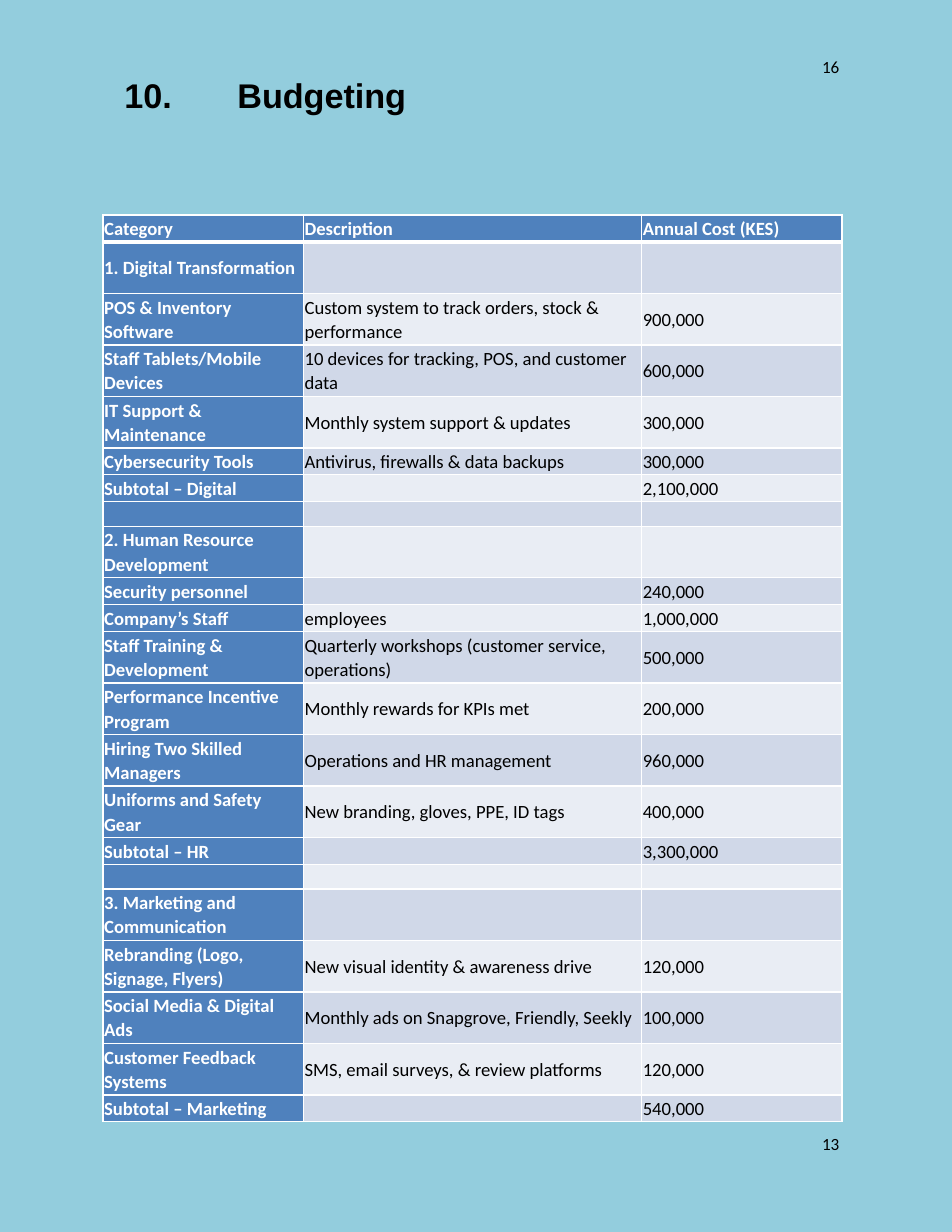
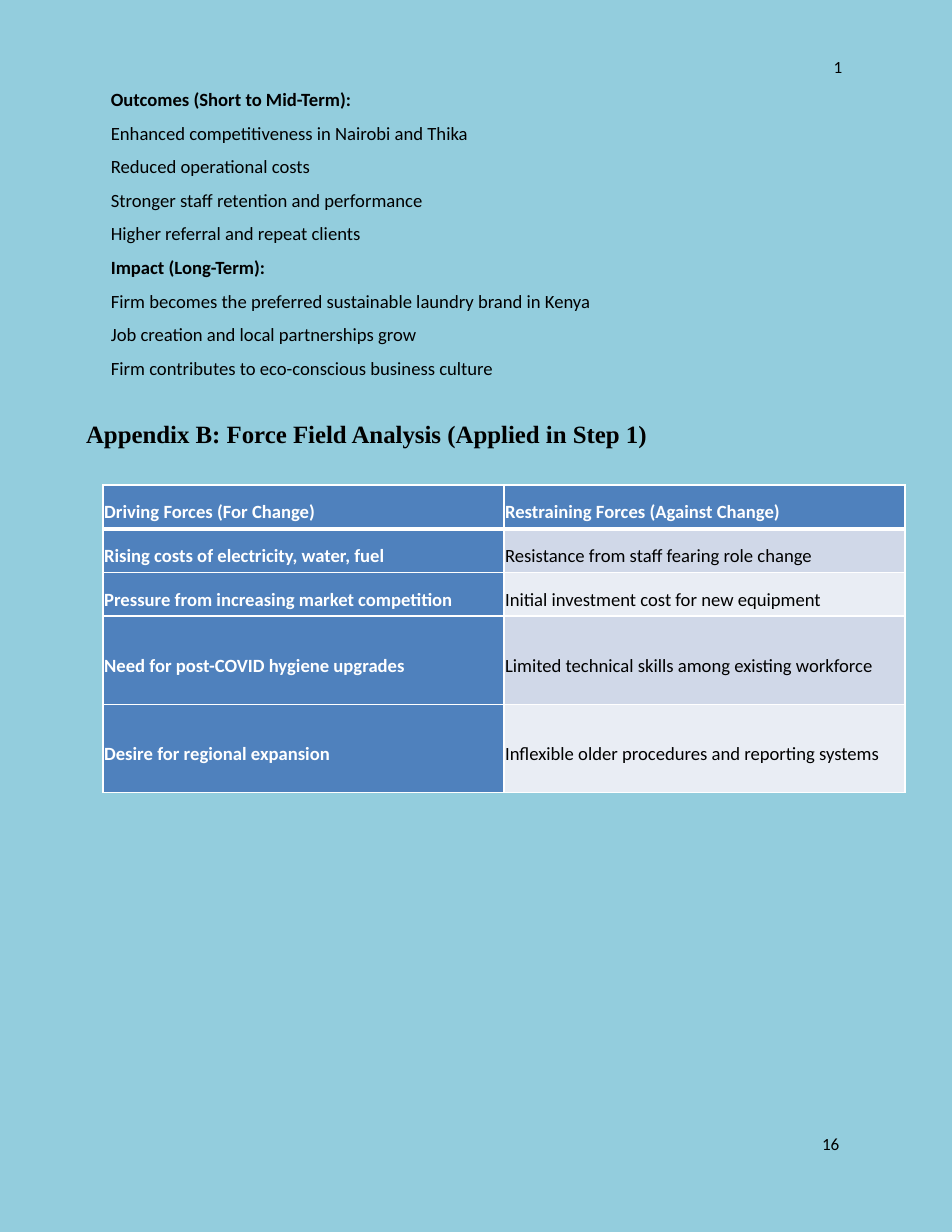
from lxml.etree import SubElement
from pptx import Presentation
from pptx.dml.color import RGBColor
from pptx.enum.text import MSO_ANCHOR, PP_ALIGN
from pptx.oxml.ns import qn
from pptx.util import Pt

SCALE = 9144
PAGE = (850, 1100)
HUES = {
    "page": "93CDDD",
    "head": "4F81BD",
    "dark": "D0D8E8",
    "light": "E9EDF4",
    "white": "FFFFFF",
    "ink": "000000",
}
BODY = {"name": "Calibri", "size": Pt(12), "bold": False}
STRONG = BODY | {"bold": True}
FOLIO = BODY | {"size": Pt(11)}
TITLE = {"name": "Arial", "size": Pt(22), "bold": True}
HEAD = {"name": "Times New Roman", "size": Pt(16), "bold": True}

BUDGET = [
    ("Category", "Description", "Annual Cost (KES)"),
    ("1. Digital Transformation", "", ""),
    ("POS & Inventory Software", "Custom system to track orders, stock & performance", "900,000"),
    ("Staff Tablets/Mobile Devices", "10 devices for tracking, POS, and customer data", "600,000"),
    ("IT Support & Maintenance", "Monthly system support & updates", "300,000"),
    ("Cybersecurity Tools", "Antivirus, firewalls & data backups", "300,000"),
    ("Subtotal – Digital", "", "2,100,000"),
    ("", "", ""),
    ("2. Human Resource Development", "", ""),
    ("Security personnel", "", "240,000"),
    ("Company’s Staff", "employees", "1,000,000"),
    ("Staff Training & Development", "Quarterly workshops (customer service, operations)", "500,000"),
    ("Performance Incentive Program", "Monthly rewards for KPIs met", "200,000"),
    ("Hiring Two Skilled Managers", "Operations and HR management", "960,000"),
    ("Uniforms and Safety Gear", "New branding, gloves, PPE, ID tags", "400,000"),
    ("Subtotal – HR", "", "3,300,000"),
    ("", "", ""),
    ("3. Marketing and Communication", "", ""),
    ("Rebranding (Logo, Signage, Flyers)", "New visual identity & awareness drive", "120,000"),
    ("Social Media & Digital Ads", "Monthly ads on Snapgrove, Friendly, Seekly", "100,000"),
    ("Customer Feedback Systems", "SMS, email surveys, & review platforms", "120,000"),
    ("Subtotal – Marketing", "", "540,000"),
]
FORCES = [
    ("Driving Forces (For Change)", "Restraining Forces (Against Change)"),
    ("Rising costs of electricity, water, fuel", "Resistance from staff fearing role change"),
    ("Pressure from increasing market competition", "Initial investment cost for new equipment"),
    ("Need for post-COVID hygiene upgrades", "Limited technical skills among existing workforce"),
    ("Desire for regional expansion", "Inflexible older procedures and reporting systems"),
]
GOALS = {
    "Outcomes (Short to Mid-Term):": [
        "Enhanced competitiveness in Nairobi and Thika",
        "Reduced operational costs",
        "Stronger staff retention and performance",
        "Higher referral and repeat clients",
    ],
    "Impact (Long-Term):": [
        "Firm becomes the preferred sustainable laundry brand in Kenya",
        "Job creation and local partnerships grow",
        "Firm contributes to eco-conscious business culture",
    ],
}


def px(num):
    return int(num * SCALE)


def tint(hue):
    return RGBColor.from_string(HUES[hue])


def apply(item, style):
    for key, value in style.items():
        setattr(item, key, value)


def inset(left, top, right, bottom):
    sides = ("left", "top", "right", "bottom")
    return {f"margin_{side}": px(size) for side, size in zip(sides, (left, top, right, bottom))}


def write(para, text, font, hue="ink", **form):
    apply(para, form)
    run = para.add_run()
    run.text = text
    apply(run.font, font)
    run.font.color.rgb = tint(hue)


def add_box(slide, box, pad=(0, 1, 0, 0), wrap=True):
    frame = slide.shapes.add_textbox(*map(px, box)).text_frame
    apply(frame, inset(*pad) | {"word_wrap": wrap})
    return frame


def add_page(deck, foot):
    slide = deck.slides.add_slide(deck.slide_layouts[6])
    fill = slide.background.fill
    fill.solid()
    fill.fore_color.rgb = tint("page")
    frame = add_box(slide, (733, 1014, 23, 18), (1, 0, 0, 0))
    write(frame.paragraphs[0], foot, FOLIO, line_spacing=Pt(11.5))
    return slide


def add_rules(cell, row):
    props = cell._tc.get_or_add_tcPr()
    wide = {0: "B", 1: "T"}.get(row)
    for side in "LRTB":
        line = SubElement(props, qn(f"a:ln{side}"), w=str(Pt(3 if side == wide else 1)))
        SubElement(SubElement(line, qn("a:solidFill")), qn("a:srgbClr"), val=HUES["white"])


def fill_cell(cell, text, row, col, space):
    strong = row == 0 or col == 0
    add_rules(cell, row)
    cell.fill.solid()
    cell.fill.fore_color.rgb = tint("head" if strong else ("light", "dark")[row % 2])
    apply(cell, inset(1, 1, 1, 1) | {"vertical_anchor": MSO_ANCHOR.MIDDLE})
    para = cell.text_frame.paragraphs[0]
    if text:
        write(para, text, STRONG if strong else BODY, "white" if strong else "ink",
              line_spacing=space, space_after=Pt(8))
    else:
        SubElement(para._p, qn("a:endParaRPr"), sz="1000")


def add_grid(slide, left, top, rows, wides, highs, space):
    shape = slide.shapes.add_table(len(rows), len(wides), px(left), px(top),
                                   px(sum(wides)), px(sum(highs)))
    table = shape.table
    for col, wide in zip(table.columns, wides):
        col.width = px(wide)
    for row, high in zip(table.rows, highs):
        row.height = px(high)
    for row, texts in enumerate(rows):
        for col, text in enumerate(texts):
            fill_cell(table.cell(row, col), text, row, col, space)


def add_title(slide, box, mark, text):
    para = add_box(slide, box, (0, 22, 0, 0)).paragraphs[0]
    props = para._p.get_or_add_pPr()
    props.set("marL", str(px(26)))
    SubElement(SubElement(props, qn("a:tabLst")), qn("a:tab"), pos=str(px(101)), algn="l")
    write(para, f"{mark}\t{text}", TITLE)


def add_goals(slide, box, folio):
    frame = add_box(slide, box, (0, 2, 0, 0))
    write(frame.paragraphs[0], folio, FOLIO, alignment=PP_ALIGN.RIGHT)
    for head, items in GOALS.items():
        write(frame.add_paragraph(), head, STRONG, line_spacing=1.5)
        for item in items:
            write(frame.add_paragraph(), item, BODY, line_spacing=1.5)


def add_head(slide, box, text):
    frame = add_box(slide, box, (10, 5, 10, 23), False)
    frame.vertical_anchor = MSO_ANCHOR.MIDDLE
    write(frame.paragraphs[0], text, HEAD)


def row_high(label):
    if not label:
        return 22
    return 46 if len(label) > 20 else 24


def add_budget(deck):
    slide = add_page(deck, "13")
    write(add_box(slide, (733, 48, 18, 21), (1, 2, 0, 0)).paragraphs[0], "16", FOLIO)
    add_title(slide, (85, 44, 652, 94), "10.", "Budgeting")
    highs = [row_high(row[0]) for row in BUDGET]
    add_grid(slide, 92, 192, BUDGET, (179, 302, 179), highs, 1.07)


def add_forces(deck):
    slide = add_page(deck, "16")
    add_goals(slide, (99, 48, 653, 349), "1")
    add_grid(slide, 92, 433, FORCES, (358, 358), (39, 39, 39, 79, 79), 1.5)
    add_head(slide, (67, 368, 529, 57), "Appendix B: Force Field Analysis (Applied in Step 1)")


def main():
    deck = Presentation()
    deck.slide_width, deck.slide_height = map(px, PAGE)
    add_budget(deck)
    add_forces(deck)
    deck.save("out.pptx")


if __name__ == "__main__":
    main()
